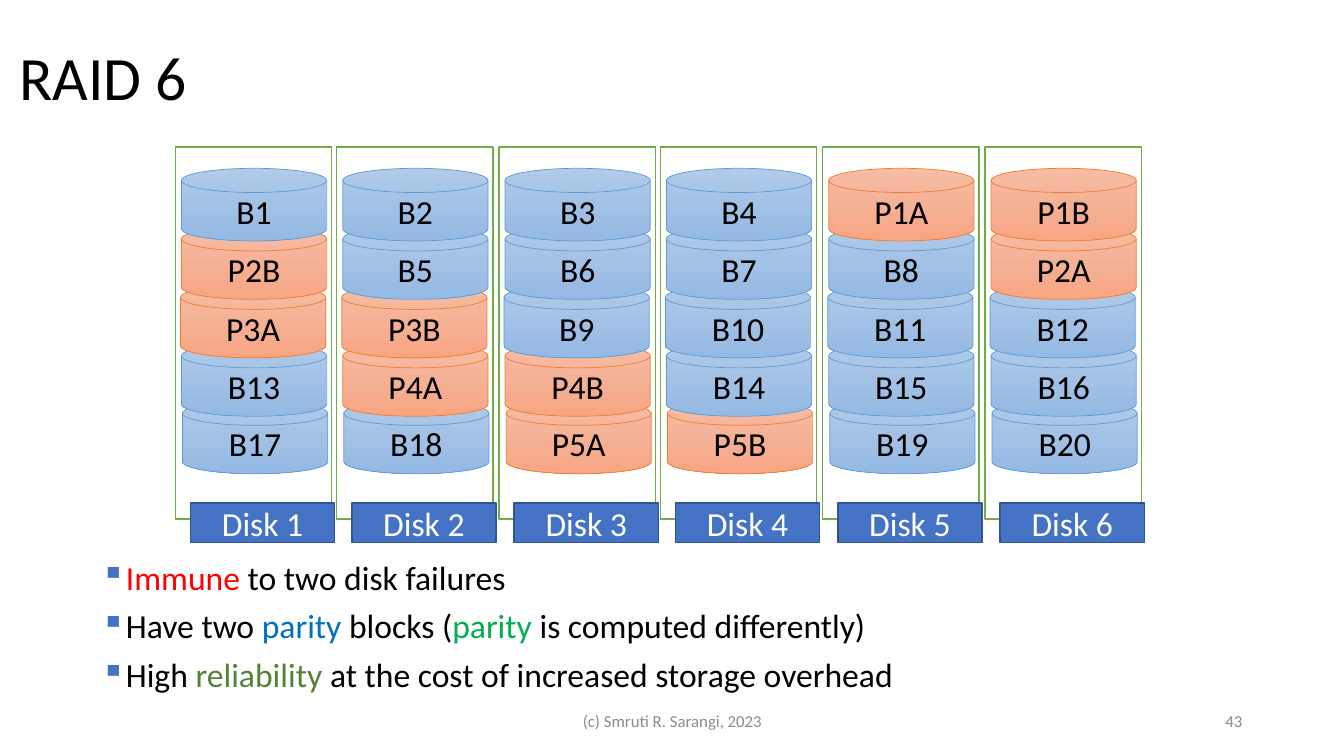
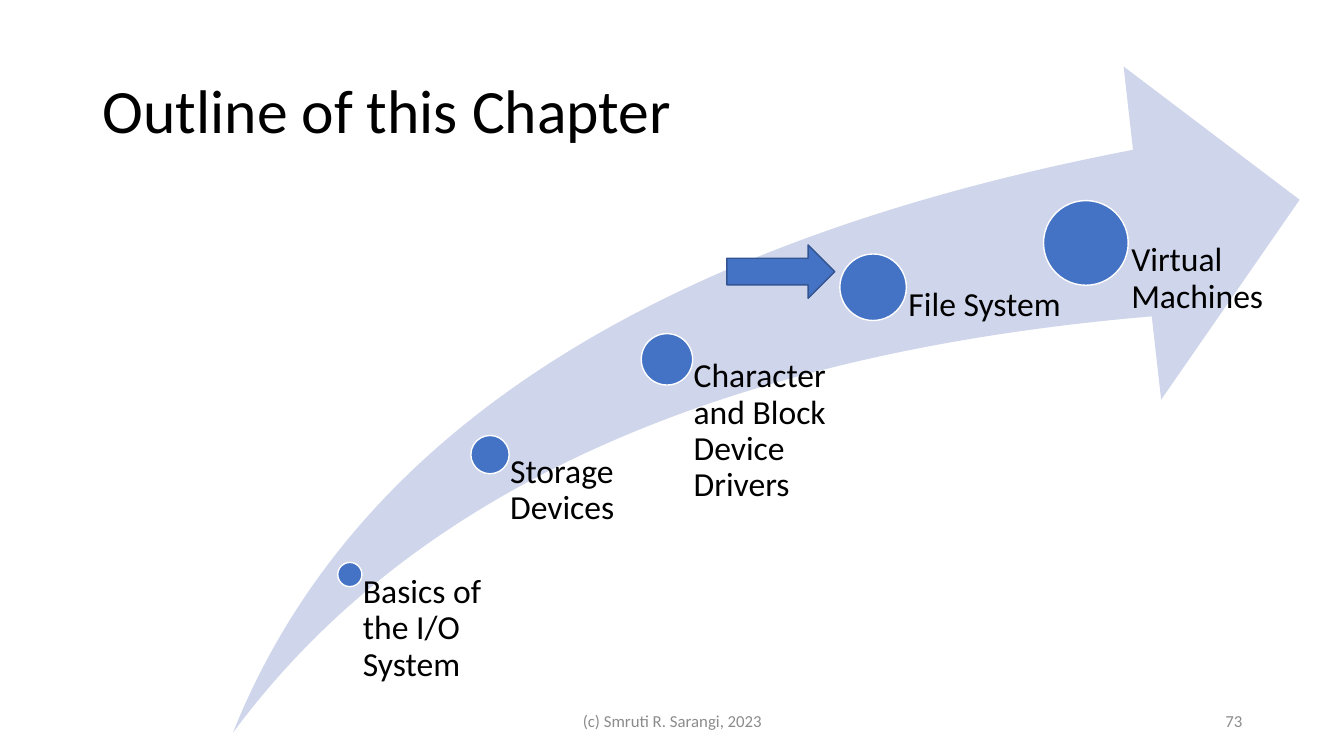
import copy

import lxml.etree
import pptx
import pptx.dml.color
import pptx.enum.shapes
import pptx.enum.text
import pptx.oxml.ns
import pptx.util

RGB = pptx.dml.color.RGBColor
SHAPES = pptx.enum.shapes.MSO_SHAPE
ALIGN = pptx.enum.text.PP_ALIGN
ANCHOR = pptx.enum.text.MSO_ANCHOR
qn = pptx.oxml.ns.qn

PX = 9144
FONT = "Calibri"
BLACK = RGB(0x00, 0x00, 0x00)
WHITE = RGB(0xFF, 0xFF, 0xFF)
GREY = RGB(0x8C, 0x8C, 0x8C)
BLUE = RGB(0x44, 0x72, 0xC4)
NAVY = RGB(0x32, 0x54, 0x91)
PALE_BLUE = RGB(0xCF, 0xD5, 0xEA)
FRAME_GREEN = RGB(0x70, 0xAD, 0x47)
RED = RGB(0xFF, 0x00, 0x00)
PARITY_BLUE = RGB(0x00, 0x70, 0xC0)
PARITY_GREEN = RGB(0x00, 0xB0, 0x50)
DARK_GREEN = RGB(0x54, 0x82, 0x35)
DATA_LINE = RGB(0x5B, 0x9B, 0xD5)
DATA_STOPS = [RGB(0xB1, 0xCB, 0xE9), RGB(0xA3, 0xC1, 0xE5), RGB(0x93, 0xB9, 0xE4)]
PARITY_LINE = RGB(0xED, 0x7D, 0x31)
PARITY_STOPS = [RGB(0xF7, 0xBD, 0xA5), RGB(0xF5, 0xB1, 0x96), RGB(0xF8, 0xA5, 0x82)]

MIDDLE = {"word_wrap": True, "vertical_anchor": ANCHOR.MIDDLE}
TOP_FLUSH = {
    "word_wrap": True, "vertical_anchor": ANCHOR.TOP,
    "margin_left": 0, "margin_top": 0, "margin_right": 0, "margin_bottom": 0,
}
TITLE_FRAME = {**MIDDLE, "auto_size": pptx.enum.text.MSO_AUTO_SIZE.NONE}
TITLE_PARAGRAPH = {"alignment": ALIGN.LEFT, "line_spacing": 0.9}
CENTRED = {"alignment": ALIGN.CENTER}


def write(shape, paragraphs, frame_format, paragraph_format, size=24):
    frame = shape.text_frame
    for name, value in frame_format.items():
        setattr(frame, name, value)
    for index, segments in enumerate(paragraphs):
        paragraph = frame.add_paragraph() if index else frame.paragraphs[0]
        for name, value in paragraph_format.items():
            setattr(paragraph, name, value)
        for text, color in segments:
            run = paragraph.add_run()
            run.text = text
            run.font.name = FONT
            run.font.size = pptx.util.Pt(size)
            run.font.color.rgb = color


def draw(slide, kind, box, fill, line=None, width=1):
    shape = slide.shapes.add_shape(kind, *(value * PX for value in box))
    shape.shadow.inherit = False
    if isinstance(fill, list):
        shape.fill.gradient()
        shape.fill.gradient_angle = 270
        stop_list = shape._element.spPr.find(qn("a:gradFill")).find(qn("a:gsLst"))
        stop_list.insert(1, copy.deepcopy(stop_list[0]))
        for index, stop in enumerate(shape.fill.gradient_stops):
            stop.position = index / 2
            stop.color.rgb = fill[index]
    else:
        shape.fill.solid()
        shape.fill.fore_color.rgb = fill
    if line is None:
        shape.line.fill.background()
    else:
        shape.line.color.rgb = line
        shape.line.width = pptx.util.Pt(width)
    return shape


deck = pptx.Presentation()
deck.slide_width = 1333 * PX
deck.slide_height = 750 * PX

slides = []
for title, left, top, number in [
    ("RAID 6", 9, 7, "43"),
    ("Outline of this Chapter", 92, 40, "73"),
]:
    slide = deck.slides.add_slide(deck.slide_layouts[5])
    slides.append(slide)
    heading = slide.shapes.title
    geometry = {"left": left, "top": top, "width": 1150, "height": 145}
    for name, value in geometry.items():
        setattr(heading, name, value * PX)
    write(heading, [[(title, BLACK)]], TITLE_FRAME, TITLE_PARAGRAPH, 44)
    for text, footer_left, footer_width, alignment in [
        ("(c) Smruti R. Sarangi, 2023", 442, 450, ALIGN.CENTER),
        (number, 942, 300, ALIGN.RIGHT),
    ]:
        footer = slide.shapes.add_textbox(
            footer_left * PX, 695 * PX, footer_width * PX, 40 * PX)
        write(footer, [[(text, GREY)]], MIDDLE, {"alignment": alignment}, 12)

raid, outline = slides

DISKS = [
    ["B1", "P2B", "P3A", "B13", "B17"],
    ["B2", "B5", "P3B", "P4A", "B18"],
    ["B3", "B6", "B9", "P4B", "P5A"],
    ["B4", "B7", "B10", "B14", "P5B"],
    ["P1A", "B8", "B11", "B15", "B19"],
    ["P1B", "P2A", "B12", "B16", "B20"],
]
BLOCK_PLACES = [(6, 167), (6, 225), (5, 283), (6, 341), (7, 398)]

for column, blocks in enumerate(DISKS):
    disk_left = 174 + column * 803 // 5
    draw(raid, SHAPES.FLOWCHART_PROCESS, (disk_left, 146, 155, 369), WHITE, FRAME_GREEN)
    for block, (inset, top) in reversed(list(zip(blocks, BLOCK_PLACES))):
        parity = block.startswith("P")
        cylinder = draw(
            raid, SHAPES.FLOWCHART_MAGNETIC_DISK, (disk_left + inset, top, 144, 72),
            PARITY_STOPS if parity else DATA_STOPS,
            PARITY_LINE if parity else DATA_LINE, 0.5)
        write(cylinder, [[(block, BLACK)]], MIDDLE, CENTRED)
    disk_label = draw(
        raid, SHAPES.FLOWCHART_PROCESS, (disk_left + 15, 499, 143, 39), BLUE, NAVY)
    write(disk_label, [[(f"Disk {column + 1}", WHITE)]], MIDDLE, CENTRED)

properties = raid.shapes.add_textbox(100 * PX, 552 * PX, 876 * PX, 151 * PX)
write(properties, [
    [("Immune ", RED), ("to two disk failures", BLACK)],
    [("Have two ", BLACK), ("parity", PARITY_BLUE), (" blocks (", BLACK),
     ("parity", PARITY_GREEN), (" is computed differently)", BLACK)],
    [("High ", BLACK), ("reliability", DARK_GREEN),
     (" at the cost of increased storage overhead", BLACK)],
], TOP_FLUSH, {"space_after": pptx.util.Pt(6)})
for paragraph in properties.text_frame.paragraphs:
    bullet = paragraph._p.get_or_add_pPr()
    bullet.set("marL", str(24 * PX))
    bullet.set("indent", str(-24 * PX))
    bullet_color = lxml.etree.SubElement(bullet, qn("a:buClr"))
    lxml.etree.SubElement(bullet_color, qn("a:srgbClr"), val=str(BLUE))
    lxml.etree.SubElement(bullet, qn("a:buChar"), char="▪")

swoosh = draw(outline, SHAPES.SWOOSH_ARROW, (231, 66, 1058, 661), PALE_BLUE)
swoosh.adjustments[0] = 0.25
swoosh.adjustments[1] = 0.25

for topic, left, top, diameter, width in [
    ("Basics of the I/O System", 335, 558, 24, 139),
    ("Storage Devices", 467, 432, 38, 176),
    ("Character and Block Device Drivers", 636, 331, 51, 204),
    ("File System", 833, 252, 66, 212),
    ("Virtual Machines", 1035, 199, 84, 212),
]:
    draw(outline, SHAPES.OVAL, (left, top, diameter, diameter), BLUE, WHITE)
    center_x = left + diameter // 2
    center_y = top + diameter // 2
    topic_text = outline.shapes.add_textbox(
        center_x * PX, center_y * PX, width * PX, (728 - center_y) * PX)
    topic_frame = {**TOP_FLUSH, "margin_left": round(diameter * 0.53) * PX}
    write(topic_text, [[(topic, BLACK)]], topic_frame, {"line_spacing": 0.9})

draw(outline, SHAPES.RIGHT_ARROW, (721, 243, 107, 53), BLUE, NAVY)

deck.save("out.pptx")
